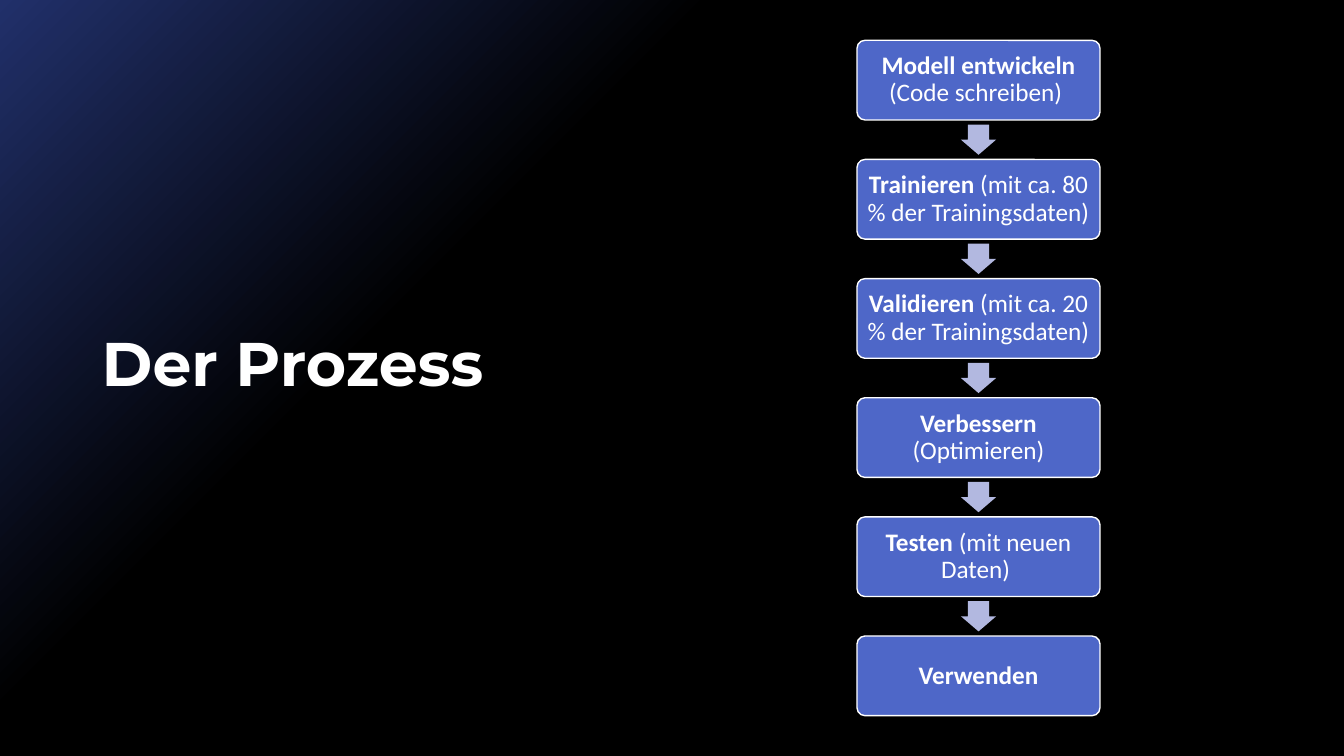
from pptx import Presentation
from pptx.dml.color import RGBColor
from pptx.enum.shapes import MSO_SHAPE
from pptx.enum.text import MSO_ANCHOR, PP_ALIGN
from pptx.util import Inches, Pt

TITLE = "Der Prozess"
STEPS = [
    ("Modell entwickeln", " (Code schreiben) "),
    ("Trainieren", " (mit ca. 80 % der Trainingsdaten)"),
    ("Validieren", " (mit ca. 20 % der Trainingsdaten)"),
    ("Verbessern", " (Optimieren)"),
    ("Testen", " (mit neuen Daten) "),
    ("Verwenden", ""),
]

THEME = {
    "black": RGBColor.from_string("000000"),
    "navy": RGBColor.from_string("21306A"),
    "white": RGBColor.from_string("FFFFFF"),
    "box": RGBColor.from_string("4E67C8"),
    "arrow": RGBColor.from_string("B2B8E0"),
    "head": ("Montserrat", Pt(44)),
    "body": ("Calibri", Pt(18)),
}

ROUND = MSO_SHAPE.ROUNDED_RECTANGLE
ARROW = MSO_SHAPE.RIGHT_ARROW
MIDDLE = MSO_ANCHOR.MIDDLE
CENTER = PP_ALIGN.CENTER

LEFT, FIRST, LAST = 8.5, 0.4, 6.31
WIDE, HIGH = 2.41, 0.79
LONG, THICK = 0.3, 0.35
INSET = Inches(0.07)
PITCH = (LAST - FIRST) / (len(STEPS) - 1)


def style(run, kind, bold):
    font = run.font
    font.name, font.size = THEME[kind]
    font.bold = bold
    font.color.rgb = THEME["white"]


def paint(slide):
    fill = slide.background.fill
    fill.gradient()
    fill.gradient_angle = 315
    stops = zip(fill.gradient_stops, (("navy", 0), ("black", 0.34)))
    for stop, (tone, place) in stops:
        stop.color.rgb = THEME[tone]
        stop.position = place


def add_title(slide):
    box = slide.shapes.add_textbox(
        Inches(0.91), Inches(2.91), Inches(5.37), Inches(1.45))
    frame = box.text_frame
    frame.word_wrap = True
    frame.vertical_anchor = MIDDLE
    frame.text = TITLE
    para = frame.paragraphs[0]
    para.line_spacing = 0.9
    style(para.runs[0], "head", True)


def add_form(slide, kind, left, top, wide, high, tone):
    form = slide.shapes.add_shape(
        kind, Inches(left), Inches(top), Inches(wide), Inches(high))
    form.shadow.inherit = False
    form.fill.solid()
    form.fill.fore_color.rgb = THEME[tone]
    return form


def add_step(slide, top, name, note):
    box = add_form(slide, ROUND, LEFT, top, WIDE, HIGH, "box")
    box.adjustments[0] = 0.1
    box.line.color.rgb = THEME["white"]
    box.line.width = Pt(1)
    frame = box.text_frame
    frame.word_wrap = True
    frame.vertical_anchor = MIDDLE
    frame.margin_left = frame.margin_right = INSET
    frame.margin_top = frame.margin_bottom = INSET
    para = frame.paragraphs[0]
    para.alignment = CENTER
    para.line_spacing = 0.9
    for text, bold in ((name, True), (note, False)):
        if text:
            run = para.add_run()
            run.text = text
            style(run, "body", bold)


def add_arrow(slide, top):
    left = LEFT + (WIDE - LONG) / 2
    mid = top + (HIGH + PITCH) / 2
    arrow = add_form(slide, ARROW, left, mid - THICK / 2, LONG, THICK, "arrow")
    arrow.rotation = 90
    arrow.adjustments[0] = 0.6
    arrow.adjustments[1] = 0.5
    arrow.line.fill.background()


def main():
    deck = Presentation()
    deck.slide_width = Inches(13.33)
    deck.slide_height = Inches(7.5)
    slide = deck.slides.add_slide(deck.slide_layouts[6])
    paint(slide)
    add_title(slide)
    for i, (name, note) in enumerate(STEPS):
        top = FIRST + i * PITCH
        add_step(slide, top, name, note)
        if i < len(STEPS) - 1:
            add_arrow(slide, top)
    deck.save("out.pptx")


if __name__ == "__main__":
    main()
